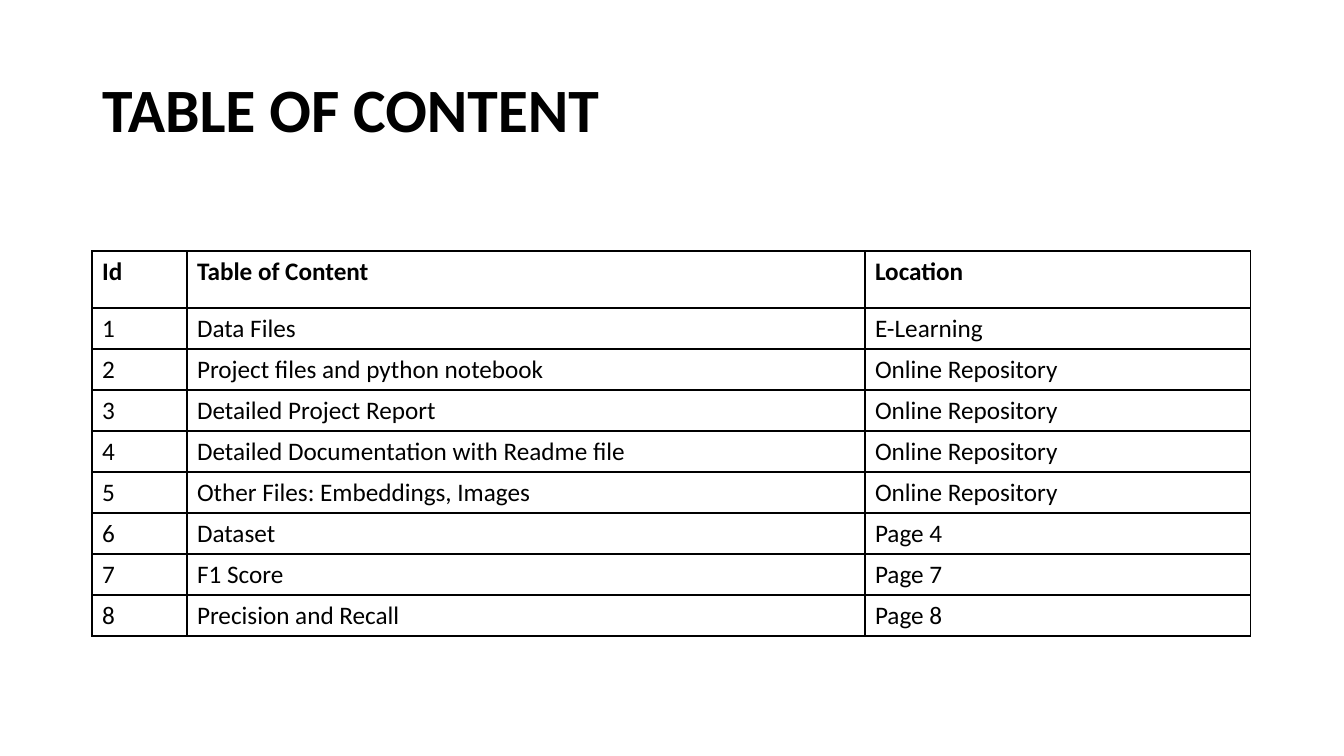
from lxml import etree
from pptx import Presentation
from pptx import util as u
from pptx.dml.color import RGBColor
from pptx.enum import text
from pptx.oxml import ns

SCALE = 914400 / 100.8  # EMU per px
FONT = "Calibri"
HUES = {"ink": "000000", "rule": "000000", "page": "FFFFFF"}

HEADS = ["Id", "Table of Content", "Location"]
ITEMS = [
    ("Data Files", "E-Learning"),
    ("Project files and python notebook", "Online Repository"),
    ("Detailed Project Report", "Online Repository"),
    ("Detailed Documentation with Readme file", "Online Repository"),
    ("Other Files: Embeddings, Images", "Online Repository"),
    ("Dataset", "Page 4"),
    ("F1 Score", "Page 7"),
    ("Precision and Recall", "Page 8"),
]
COLS = [95, 678, 386]
HEAD_H, ROW_H = 57, 41


def px(n):
    return u.Emu(round(n * SCALE))


def style(para, size, bold):
    para.alignment = text.PP_ALIGN.LEFT
    font = para.font
    font.name, font.size, font.bold = FONT, u.Pt(size), bold
    font.color.rgb = RGBColor.from_string(HUES["ink"])


def add_title(slide, words, left, top, width, height):
    title = slide.shapes.title
    title.left, title.top = px(left), px(top)
    title.width, title.height = px(width), px(height)
    frame = title.text_frame
    frame.text = words
    frame.auto_size = text.MSO_AUTO_SIZE.NONE
    frame.vertical_anchor = text.MSO_ANCHOR.MIDDLE
    para = frame.paragraphs[0]
    style(para, 44, True)
    para.line_spacing = 0.9


def add_rules(cell):
    props = cell._tc.get_or_add_tcPr()
    for side in ("lnL", "lnR", "lnT", "lnB"):
        line = etree.SubElement(props, ns.qn(f"a:{side}"), w=str(u.Pt(1)))
        fill = etree.SubElement(line, ns.qn("a:solidFill"))
        etree.SubElement(fill, ns.qn("a:srgbClr"), val=HUES["rule"])


def add_grid(slide, rows, left, top):
    high = HEAD_H + ROW_H * (len(rows) - 1)
    grid = slide.shapes.add_table(
        len(rows), len(COLS), px(left), px(top), px(sum(COLS)), px(high)
    ).table
    grid.first_row = grid.horz_banding = False
    for col, width in zip(grid.columns, COLS):
        col.width = px(width)
    for r, row in enumerate(rows):
        grid.rows[r].height = px(ROW_H if r else HEAD_H)
        for c, words in enumerate(row):
            cell = grid.cell(r, c)
            cell.text = words
            style(cell.text_frame.paragraphs[0], 18, r == 0)
            add_rules(cell)
            cell.fill.background()


def main():
    deck = Presentation()
    deck.slide_width, deck.slide_height = px(1344), px(756)
    slide = deck.slides.add_slide(deck.slide_layouts[5])
    back = slide.background.fill
    back.solid()
    back.fore_color.rgb = RGBColor.from_string(HUES["page"])

    # Heading
    add_title(slide, "TABLE OF CONTENT", 92, 40, 1159, 146)

    # Numbered contents
    rows = [HEADS] + [(str(i), *item) for i, item in enumerate(ITEMS, 1)]
    add_grid(slide, rows, 92, 251)

    deck.save("out.pptx")


if __name__ == "__main__":
    main()
